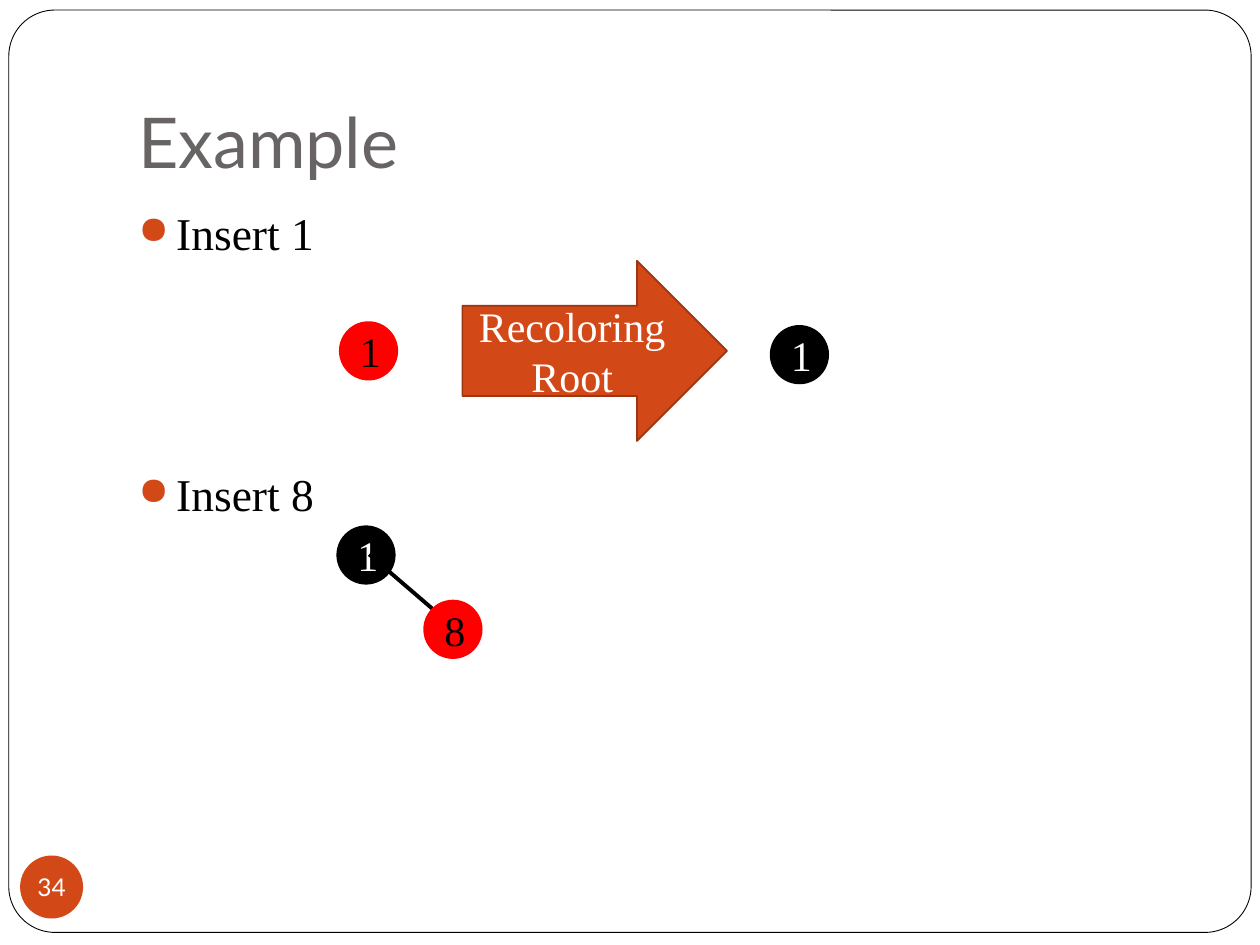
import pptx
import pptx.util
import pptx.dml.color
import pptx.enum.shapes
import pptx.enum.text
import pptx.oxml
import pptx.oxml.ns
from pptx.util import Inches

COLORS = {
    "white": "FFFFFF", "black": "000000", "red": "FF0000",
    "orange": "D34817", "dark orange": "9C3511", "gray": "696464",
}
SERIF, SANS = "Times New Roman", "Lato"
NODE_SIZE = 0.47

TITLE = "Example"
PAGE_NUMBER = "34"
# step text, space before in points
STEPS = [("Insert 1", 5.8), ("Insert 8", 118)]
# key, left, top, fill, text colour
RECOLORED_NODES = [
    ("1", 2.69, 2.55, "red", "black"),
    ("1", 6.11, 2.58, "black", "white"),
]
PARENT_NODE = ("1", 2.67, 4.17, "black", "white")
CHILD_NODE = ("8", 3.36, 4.76, "red", "black")
EDGE = (2.93, 4.4, 3.43, 4.83)

SHAPES = pptx.enum.shapes.MSO_SHAPE
ANCHOR = pptx.enum.text.MSO_ANCHOR
ALIGN = pptx.enum.text.PP_ALIGN


def rgb(name):
    return pptx.dml.color.RGBColor.from_string(COLORS[name])


def format_runs(paragraph, font, size, color):
    for run in paragraph.runs:
        run.font.name = font
        run.font.size = pptx.util.Pt(size)
        run.font.color.rgb = rgb(color)


def add_shape(slide, kind, box, fill, line=None, line_width=1):
    shape = slide.shapes.add_shape(kind, *map(Inches, box))
    shape.shadow.inherit = False
    shape.fill.solid()
    shape.fill.fore_color.rgb = rgb(fill)
    if line:
        shape.line.color.rgb = rgb(line)
        shape.line.width = pptx.util.Pt(line_width)
    else:
        shape.line.fill.background()
    return shape


def add_label(shape, text, color, font=SERIF, size=24):
    frame = shape.text_frame
    frame.text = text
    frame.vertical_anchor = ANCHOR.MIDDLE
    frame.paragraphs[0].alignment = ALIGN.CENTER
    format_runs(frame.paragraphs[0], font, size, color)
    return frame


def add_node(slide, key, left, top, fill, text_color):
    node = add_shape(slide, SHAPES.OVAL, (left, top, NODE_SIZE, NODE_SIZE), fill)
    add_label(node, key, text_color)


def add_edge(slide, points):
    edge = slide.shapes.add_connector(
        pptx.enum.shapes.MSO_CONNECTOR.STRAIGHT, *map(Inches, points))
    edge.line.color.rgb = rgb("black")
    edge.line.width = pptx.util.Pt(2.25)
    properties = edge._element.spPr
    properties.append(pptx.oxml.parse_xml(
        f"<a:effectLst {pptx.oxml.ns.nsdecls('a')}/>"))


def add_bullet(paragraph):
    properties = paragraph._p.get_or_add_pPr()
    properties.set("marL", str(Inches(0.3)))
    properties.set("indent", str(-Inches(0.3)))
    namespace = pptx.oxml.ns.nsdecls("a")
    for xml in (
        f'<a:buClr {namespace}><a:srgbClr val="{COLORS["orange"]}"/></a:buClr>',
        f'<a:buSzPct {namespace} val="85000"/>',
        f'<a:buChar {namespace} char="●"/>',
    ):
        properties.append(pptx.oxml.parse_xml(xml))


def add_text_box(slide, box):
    frame = slide.shapes.add_textbox(*map(Inches, box)).text_frame
    frame.word_wrap = True
    return frame


def main():
    presentation = pptx.Presentation()
    presentation.slide_width, presentation.slide_height = Inches(10), Inches(7.5)
    slide = presentation.slides.add_slide(presentation.slide_layouts[6])

    # Frame
    frame_shape = add_shape(slide, SHAPES.ROUNDED_RECTANGLE,
                            (0.07, 0.08, 9.86, 7.32), "white", "black", 0.5)
    frame_shape.adjustments[0] = 0.05

    # Title
    title = add_text_box(slide, (1, 0.3, 8.5, 1.25))
    title.text = TITLE
    title.vertical_anchor = ANCHOR.BOTTOM
    title.margin_bottom = Inches(0.1)
    format_runs(title.paragraphs[0], SANS, 40, "gray")

    # Page number
    badge = add_shape(slide, SHAPES.OVAL, (0.16, 6.79, 0.5, 0.5), "orange")
    number = add_label(badge, PAGE_NUMBER, "white", SANS, 14)
    number.word_wrap = False
    number.margin_left = number.margin_right = 0
    number.margin_top = number.margin_bottom = 0

    # Insertion steps
    body = add_text_box(slide, (1, 1.58, 8.5, 5))
    body.text = "\n".join(text for text, _ in STEPS)
    for paragraph, (_, space_before) in zip(body.paragraphs, STEPS):
        paragraph.space_before = pptx.util.Pt(space_before)
        add_bullet(paragraph)
        format_runs(paragraph, SERIF, 26, "black")

    # Recoloring of the root
    for node in RECOLORED_NODES:
        add_node(slide, *node)
    arrow = add_shape(slide, SHAPES.RIGHT_ARROW, (3.67, 2.07, 2.1, 1.43),
                      "orange", "dark orange")
    add_label(arrow, "Recoloring\vRoot", "white")

    # Tree after the second insertion
    add_node(slide, *PARENT_NODE)
    add_edge(slide, EDGE)
    add_node(slide, *CHILD_NODE)

    presentation.save("out.pptx")


if __name__ == "__main__":
    main()
